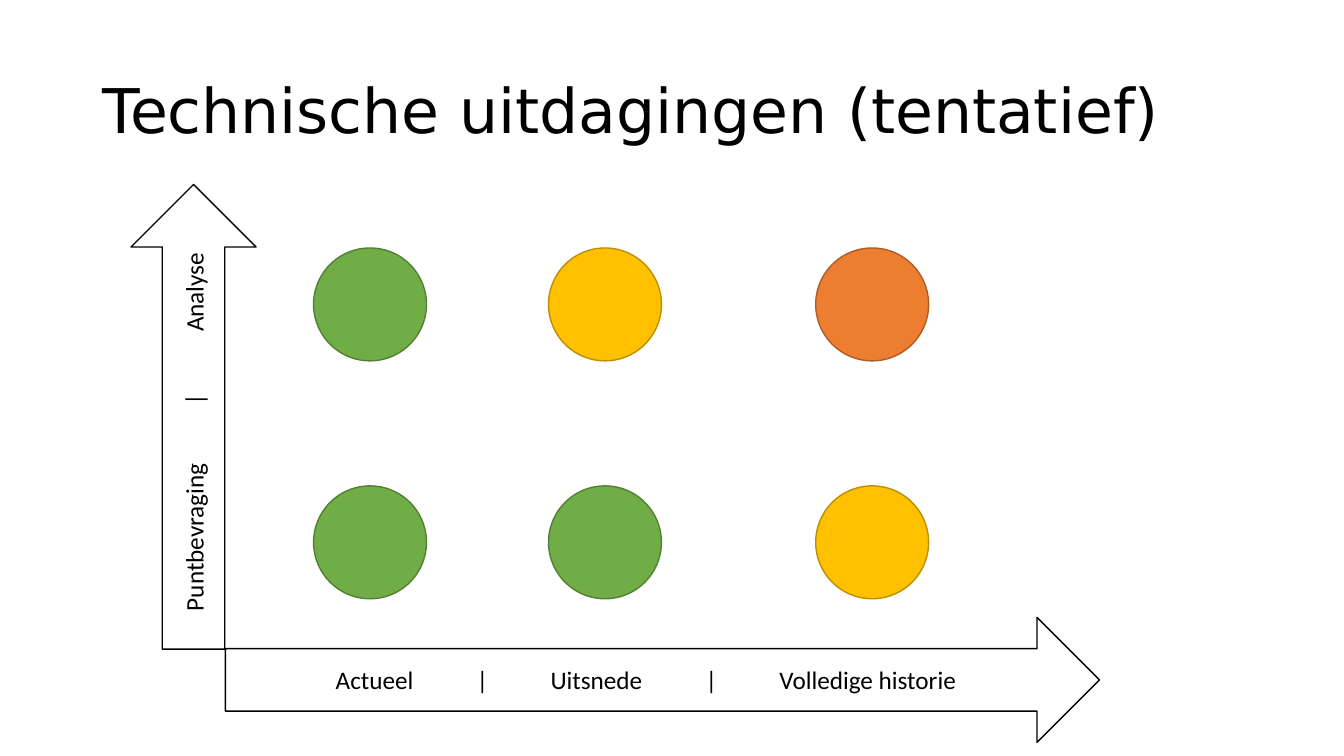
from lxml import etree
from pptx import Presentation
from pptx.dml.color import RGBColor
from pptx.enum import shapes, text
from pptx.oxml import ns
from pptx.util import Inches, Pt

BLACK = RGBColor(0x00, 0x00, 0x00)
WHITE = RGBColor(0xFF, 0xFF, 0xFF)
GREEN = (RGBColor(0x70, 0xAD, 0x47), RGBColor(0x53, 0x80, 0x35))
YELLOW = (RGBColor(0xFF, 0xC0, 0x00), RGBColor(0xBD, 0x8E, 0x00))
ORANGE = (RGBColor(0xED, 0x7D, 0x31), RGBColor(0xAF, 0x5C, 0x24))

CIRCLE_SIZE = 1.12
COLUMN_LEFTS = (3.11, 5.44, 8.09)
CIRCLE_ROWS = (
    (2.46, (GREEN, YELLOW, ORANGE)),
    (4.82, (GREEN, GREEN, YELLOW)),
)
# Each label with the distance of its centre from the tail of the arrow
QUERY_LABELS = (("Puntbevraging", 1.11), ("|", 2.47), ("Analyse", 3.54))
HISTORY_LABELS = (
    ("Actueel", 1.48),
    ("|", 2.55),
    ("Uitsnede", 3.68),
    ("|", 4.82),
    ("Volledige historie", 6.37),
)


def set_title(slide, wording):
    title = slide.shapes.title
    title.left, title.top = Inches(0.92), Inches(0.4)
    title.width, title.height = Inches(11.5), Inches(1.45)
    frame = title.text_frame
    frame.text = wording
    frame.word_wrap = True
    frame.vertical_anchor = text.MSO_ANCHOR.MIDDLE
    paragraph = frame.paragraphs[0]
    paragraph.alignment = text.PP_ALIGN.LEFT
    paragraph.line_spacing = 0.9
    paragraph.font.name = "DejaVu Sans"
    paragraph.font.size = Pt(44)
    paragraph.font.color.rgb = BLACK


def add_outlined_shape(slide, kind, left, top, width, height, fill, line):
    shape = slide.shapes.add_shape(
        kind, Inches(left), Inches(top), Inches(width), Inches(height)
    )
    shape.shadow.inherit = False
    shape.fill.solid()
    shape.fill.fore_color.rgb = fill
    shape.line.color.rgb = line
    shape.line.width = Pt(1)
    return shape


def add_center_tabs(paragraph, positions):
    tab_list = etree.SubElement(
        paragraph._p.get_or_add_pPr(), ns.qn("a:tabLst")
    )
    for position in positions:
        tab = etree.SubElement(tab_list, ns.qn("a:tab"))
        tab.set("pos", str(Inches(position)))
        tab.set("algn", "ctr")


def add_axis_arrow(slide, left, top, length, labels, rotation=0):
    """Add an up arrow whose labels run from its tail to its head."""
    arrow = add_outlined_shape(
        slide, shapes.MSO_SHAPE.UP_ARROW, left, top, 1.24, length, WHITE, BLACK
    )
    arrow.rotation = rotation
    frame = arrow.text_frame
    frame.margin_left = frame.margin_right = 0
    frame.margin_top = frame.margin_bottom = 0
    frame.word_wrap = True
    frame.vertical_anchor = text.MSO_ANCHOR.MIDDLE
    frame._txBody.bodyPr.set("vert", "vert270")
    paragraph = frame.paragraphs[0]
    paragraph.alignment = text.PP_ALIGN.LEFT
    add_center_tabs(paragraph, [position for _, position in labels])
    paragraph.add_run().text = "".join("\t" + label for label, _ in labels)
    paragraph.font.name = "Calibri"
    paragraph.font.size = Pt(18)
    paragraph.font.color.rgb = BLACK


def add_circles(slide):
    for top, row_colours in CIRCLE_ROWS:
        for left, (fill, line) in zip(COLUMN_LEFTS, row_colours):
            add_outlined_shape(
                slide, shapes.MSO_SHAPE.OVAL, left, top,
                CIRCLE_SIZE, CIRCLE_SIZE, fill, line,
            )


def main():
    presentation = Presentation()
    presentation.slide_width = Inches(13.33)
    presentation.slide_height = Inches(7.5)
    slide = presentation.slides.add_slide(presentation.slide_layouts[5])
    set_title(slide, "Technische uitdagingen (tentatief)")
    add_axis_arrow(slide, 1.3, 1.83, 4.61, QUERY_LABELS)
    add_axis_arrow(slide, 5.95, 2.41, 8.67, HISTORY_LABELS, rotation=90)
    add_circles(slide)
    presentation.save("out.pptx")


if __name__ == "__main__":
    main()
